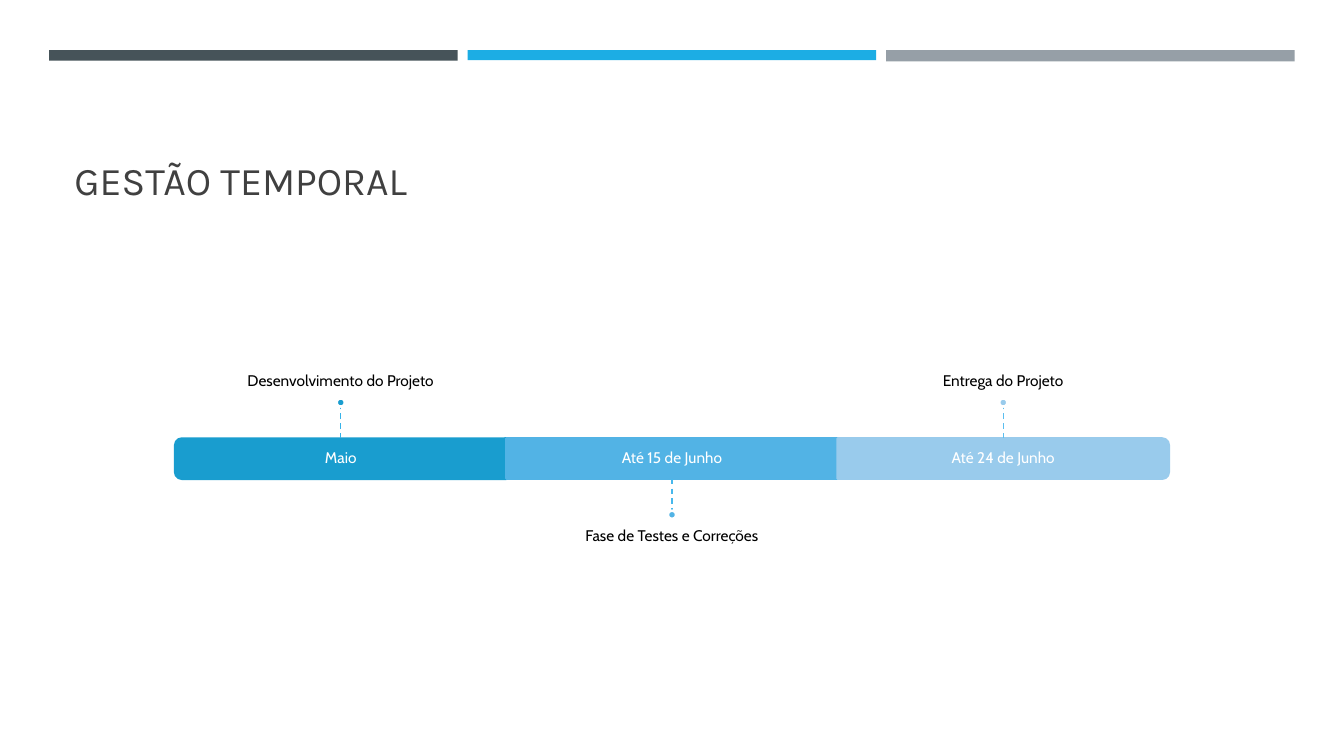
from dataclasses import dataclass

from lxml.etree import SubElement
from pptx import Presentation
from pptx.dml.color import RGBColor
from pptx.enum.dml import MSO_LINE
from pptx.enum.shapes import MSO_CONNECTOR, MSO_SHAPE
from pptx.enum.text import MSO_ANCHOR, MSO_AUTO_SIZE, PP_ALIGN
from pptx.oxml.ns import qn
from pptx.util import Pt

TITLE = "GESTÃO TEMPORAL"
# date, milestone, label above the bar, segment colour, stem colour
PHASES = [
    ("Maio", "Desenvolvimento do Projeto", True, "199DCF", "36B3E9"),
    ("Até 15 de Junho", "Fase de Testes e Correções", False, "52B3E5", "48B8EC"),
    ("Até 24 de Junho", "Entrega do Projeto", True, "99CBEC", "5ABEEF"),
]
# colour, height
HEADER_BARS = [("465359", 7.4), ("1CADE4", 7.0), ("969FA7", 7.9)]


@dataclass(frozen=True)
class Theme:
    heading_font: str = "Karla"
    body_font: str = "Cabin"
    heading_size: float = 28
    body_size: float = 11
    heading: str = "404040"
    text: str = "000000"
    white: str = "FFFFFF"
    outline: float = 1.75
    stem: float = 1


THEME = Theme()
SLIDE_W, SLIDE_H = 960, 540
HEADER_LEFT, HEADER_TOP, HEADER_W, HEADER_PITCH = 35.2, 35.9, 291.8, 298.9
SEGMENT_W, SEGMENT_H, SEGMENT_TOP = 236.6, 28.8, 313.2
STEM_H, DOT, LABEL_W, LABEL_H, INSET = 22.8, 5.8, 394.4, 100, 6.5


def rgb(value):
    return RGBColor.from_string(value)


def add_filled(slide, kind, box, fill, line=None):
    sp = slide.shapes.add_shape(kind, *map(Pt, box))
    sp.shadow.inherit = False
    sp.fill.solid()
    sp.fill.fore_color.rgb = rgb(fill)
    if line:
        sp.line.color.rgb = rgb(line)
        sp.line.width = Pt(THEME.outline)
    else:
        sp.line.fill.background()
    return sp


def add_run(p, text, font, size, color):
    r = p.add_run()
    r.text = text
    r.font.name = font
    r.font.size = Pt(size)
    r.font.color.rgb = rgb(color)


def add_label(slide, box, text, color, anchor, top=0, bottom=0):
    tf = slide.shapes.add_textbox(*map(Pt, box)).text_frame
    tf.word_wrap = True
    tf.vertical_anchor = anchor
    tf.margin_left = tf.margin_right = 0
    tf.margin_top, tf.margin_bottom = Pt(top), Pt(bottom)
    p = tf.paragraphs[0]
    p.alignment = PP_ALIGN.CENTER
    p.line_spacing = 0.9
    add_run(p, text, THEME.body_font, THEME.body_size, color)


def add_stem(slide, x, y1, y2, color):
    stem = slide.shapes.add_connector(
        MSO_CONNECTOR.STRAIGHT, Pt(x), Pt(y1), Pt(x), Pt(y2))
    stem.line.color.rgb = rgb(color)
    stem.line.width = Pt(THEME.stem)
    stem.line.dash_style = MSO_LINE.DASH
    SubElement(stem._element.spPr, qn("a:effectLst"))


def add_segment(slide, index, center, color):
    """Draw one bar segment; the outer ones are turned so their round ends face out."""
    middle = SEGMENT_TOP + SEGMENT_H / 2
    rotation = {0: 270, len(PHASES) - 1: 90}.get(index, 0)
    kind = MSO_SHAPE.ROUND_2_SAME_RECTANGLE if rotation else MSO_SHAPE.RECTANGLE
    w, h = (SEGMENT_H, SEGMENT_W) if rotation else (SEGMENT_W, SEGMENT_H)
    sp = add_filled(slide, kind, (center - w / 2, middle - h / 2, w, h), color, color)
    sp.rotation = rotation


def add_milestone(slide, center, text, above, color, stem_color):
    """Draw stem, dot and label, outward from the edge of the bar."""
    edge = SEGMENT_TOP if above else SEGMENT_TOP + SEGMENT_H
    way = -1 if above else 1
    stem_end = edge + way * STEM_H
    dot_end = stem_end + way * DOT
    add_stem(slide, center, edge, stem_end, stem_color)
    add_filled(slide, MSO_SHAPE.OVAL,
               (center - DOT / 2, min(stem_end, dot_end), DOT, DOT), color, THEME.white)
    box = (center - LABEL_W / 2, dot_end - LABEL_H if above else dot_end, LABEL_W, LABEL_H)
    if above:
        add_label(slide, box, text, THEME.text, MSO_ANCHOR.BOTTOM, bottom=INSET)
    else:
        add_label(slide, box, text, THEME.text, MSO_ANCHOR.TOP, top=INSET)


def add_title(slide):
    title = slide.shapes.title
    title.left, title.top, title.width, title.height = map(Pt, (46, 55.4, 868, 93.6))
    tf = title.text_frame
    tf.auto_size = MSO_AUTO_SIZE.NONE
    tf.vertical_anchor = MSO_ANCHOR.BOTTOM
    p = tf.paragraphs[0]
    p.alignment = PP_ALIGN.LEFT
    p.line_spacing = 0.9
    add_run(p, TITLE, THEME.heading_font, THEME.heading_size, THEME.heading)


def main():
    prs = Presentation()
    prs.slide_width, prs.slide_height = Pt(SLIDE_W), Pt(SLIDE_H)
    slide = prs.slides.add_slide(prs.slide_layouts[5])

    for i, (color, height) in enumerate(HEADER_BARS):
        box = (HEADER_LEFT + i * HEADER_PITCH, HEADER_TOP, HEADER_W, height)
        add_filled(slide, MSO_SHAPE.RECTANGLE, box, color)
    add_title(slide)

    first_center = SLIDE_W / 2 - SEGMENT_W * (len(PHASES) - 1) / 2
    for i, (date, milestone, above, color, stem_color) in enumerate(PHASES):
        center = first_center + i * SEGMENT_W
        add_segment(slide, i, center, color)
        add_label(slide, (center - SEGMENT_W / 2, SEGMENT_TOP, SEGMENT_W, SEGMENT_H),
                  date, THEME.white, MSO_ANCHOR.MIDDLE, INSET, INSET)
        add_milestone(slide, center, milestone, above, color, stem_color)

    prs.save("out.pptx")


if __name__ == "__main__":
    main()
